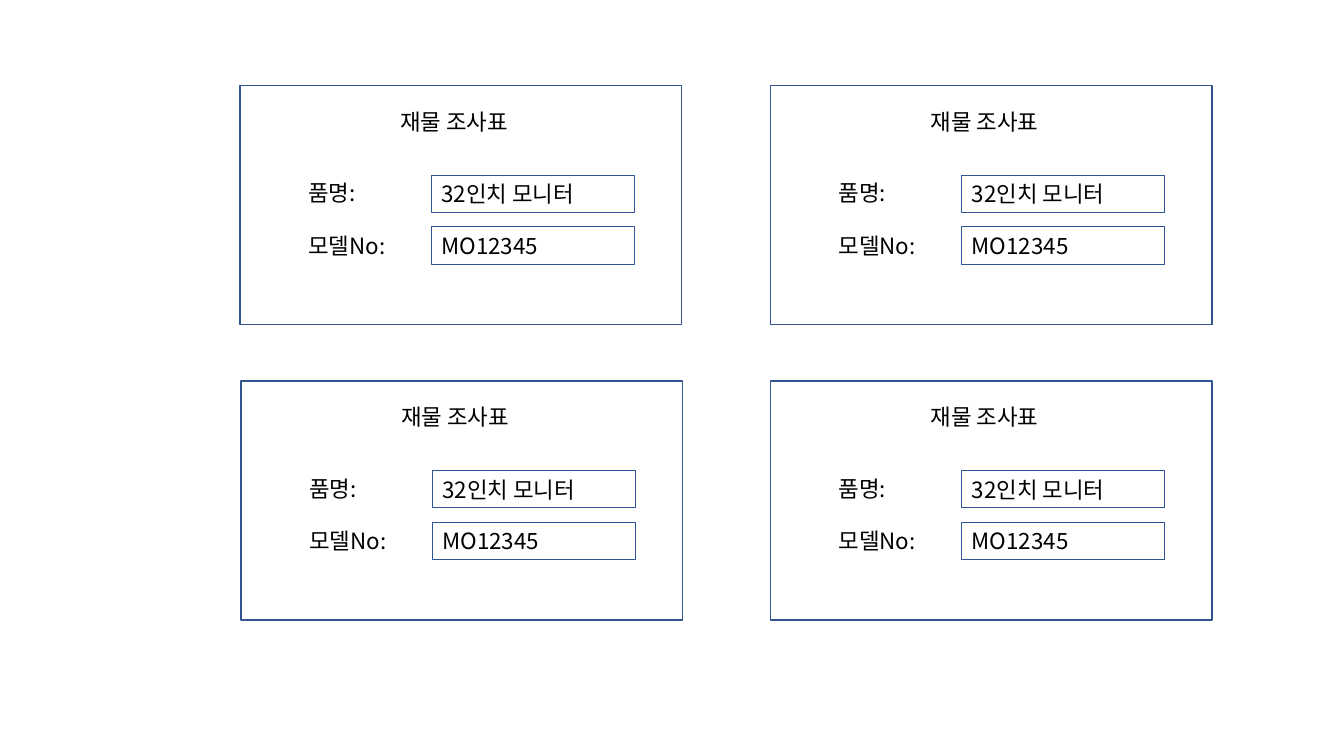
"""Build a sheet of four asset inventory labels."""
from lxml import etree
from pptx import Presentation
from pptx.dml.color import RGBColor
from pptx.enum.shapes import MSO_SHAPE
from pptx.enum.text import MSO_ANCHOR, PP_ALIGN
from pptx.oxml.ns import qn
from pptx.util import Pt

PX = 9144
FONT = "Noto Sans CJK KR"
RECTANGLE = MSO_SHAPE.RECTANGLE
MIDDLE = MSO_ANCHOR.MIDDLE
LEFT, CENTER = PP_ALIGN.LEFT, PP_ALIGN.CENTER
BLANK_LAYOUT = 6

CARD_ORIGINS = [(238, 85), (764, 85), (239, 378), (764, 378)]
CARD_WIDTH, CARD_HEIGHT = 438, 237
TEXT_HEIGHT = 37
CARD_TEXTS = [
    ("재물 조사표", 112, 17, 201, CENTER, None),
    ("32인치 모니터", 190, 89, 201, LEFT, "2F5597"),
    ("MO12345", 190, 140, 201, LEFT, "2F5597"),
    ("품명:", 58, 88, 124, LEFT, None),
    ("모델No:", 58, 140, 124, LEFT, None),
]


def color(hex_value):
    return RGBColor.from_string(hex_value)


def add_frame(left, top, width, height, line_color, line_width):
    frame = slide.shapes.add_shape(
        RECTANGLE, left * PX, top * PX, width * PX, height * PX)
    frame.shadow.inherit = False
    frame.fill.background()
    frame.line.color.rgb = color(line_color)
    frame.line.width = Pt(line_width)
    return frame


deck = Presentation()
deck.slide_width, deck.slide_height = 1333 * PX, 750 * PX
slide = deck.slides.add_slide(deck.slide_layouts[BLANK_LAYOUT])

for card_left, card_top in CARD_ORIGINS:
    for text, dx, dy, width, alignment, border in CARD_TEXTS:
        left, top = card_left + dx, card_top + dy
        if border:
            box = add_frame(left, top, width, TEXT_HEIGHT, border, 0.75)
        else:
            box = slide.shapes.add_textbox(
                left * PX, top * PX, width * PX, TEXT_HEIGHT * PX)
        frame_format = {"word_wrap": True, "vertical_anchor": MIDDLE,
                        "margin_top": 0, "margin_bottom": 0}
        for name, value in frame_format.items():
            setattr(box.text_frame, name, value)
        para = box.text_frame.paragraphs[0]
        para.alignment = alignment
        span = para.add_run()
        span.text = text
        for name, value in {"name": FONT, "size": Pt(16)}.items():
            setattr(span.font, name, value)
        span.font.color.rgb = color("000000")
        east_asian = etree.SubElement(span.font._element, qn("a:ea"))
        east_asian.set("typeface", FONT)
    add_frame(card_left, card_top, CARD_WIDTH, CARD_HEIGHT, "325491", 1)

deck.save("out.pptx")
